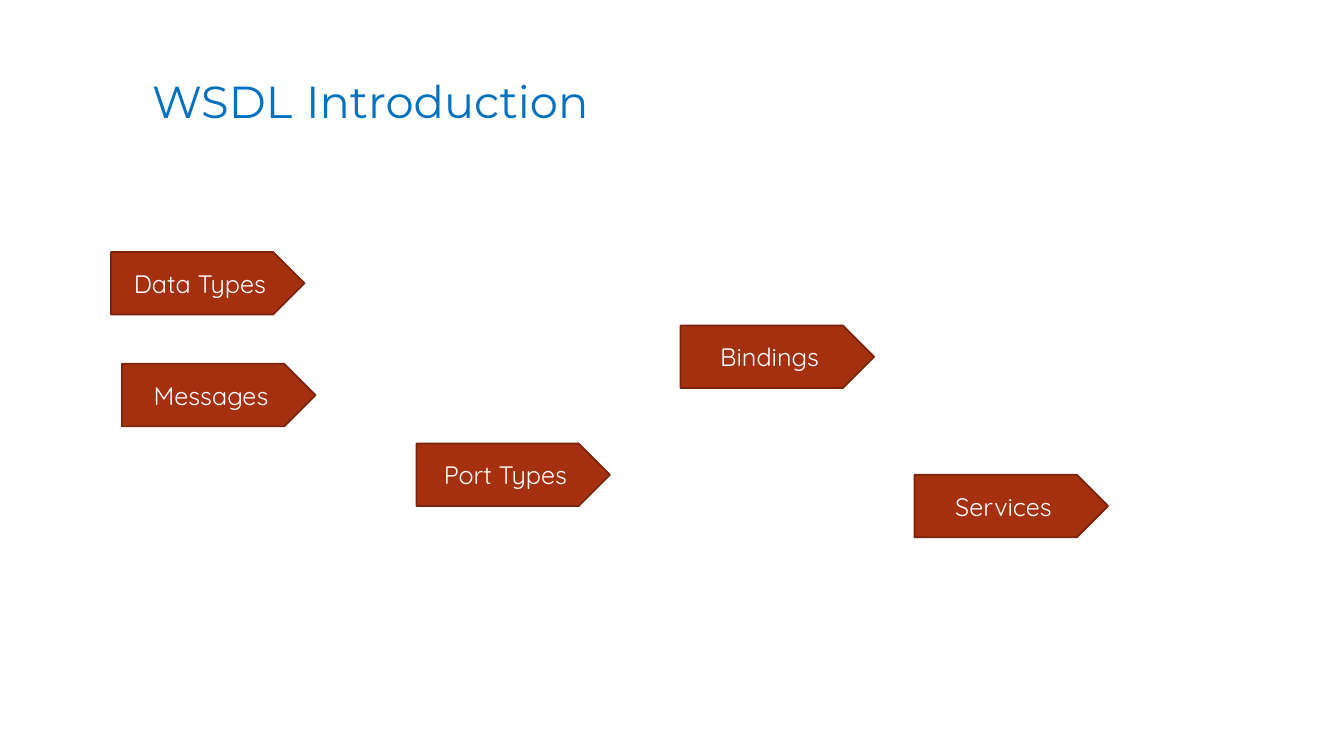
from pptx import Presentation
from pptx import util as u
from pptx.dml.color import RGBColor
from pptx.enum import shapes, text

BLUE = RGBColor(0x00, 0x70, 0xC0)
INK = RGBColor(0x26, 0x26, 0x26)
RUST = RGBColor(0xA5, 0x30, 0x10)
EDGE = RGBColor(0x7A, 0x24, 0x0C)
WHITE = RGBColor(0xFF, 0xFF, 0xFF)

deck = Presentation()
deck.slide_width = u.Inches(13.33)
deck.slide_height = u.Inches(7.5)
col = deck.slide_width / 133.3
row = deck.slide_height / 75
slide = deck.slides.add_slide(deck.slide_layouts[6])


def place(left, top, wide, tall):
    return int(left * col), int(top * row), int(wide * col), int(tall * row)


def write(para, words, style):
    run = para.add_run()
    run.text = words
    for key, value in style.items():
        setattr(run.font, key, value)
    return run


head = {"name": "Montserrat", "size": u.Pt(32)}
gap = {"name": "Quicksand", "size": u.Pt(36)}
label = {"name": "Quicksand", "size": u.Pt(18)}

title = slide.shapes.add_textbox(*place(14.1, 6.3, 64.6, 9.5)).text_frame
title.word_wrap = True
title.vertical_anchor = text.MSO_ANCHOR.TOP
for words, style, tint in [
    ("WSDL", head, BLUE),
    (" ", gap, INK),
    ("Introduction", head, BLUE),
]:
    write(title.paragraphs[0], words, style).font.color.rgb = tint

for words, left, top in [
    ("Data Types", 11, 25),
    ("Messages", 12.1, 36.1),
    ("Port Types", 41.3, 44),
    ("Bindings", 67.5, 32.3),
    ("Services", 90.7, 47.1),
]:
    tag = slide.shapes.add_shape(
        shapes.MSO_SHAPE.PENTAGON, *place(left, top, 19.2, 6.2)
    )
    tag.shadow.inherit = False
    tag.fill.solid()
    tag.fill.fore_color.rgb = RUST
    tag.line.color.rgb = EDGE
    tag.line.width = u.Pt(1.25)
    frame = tag.text_frame
    frame.word_wrap = True
    frame.vertical_anchor = text.MSO_ANCHOR.MIDDLE
    para = frame.paragraphs[0]
    para.alignment = text.PP_ALIGN.CENTER
    write(para, words, label).font.color.rgb = WHITE

deck.save("out.pptx")
